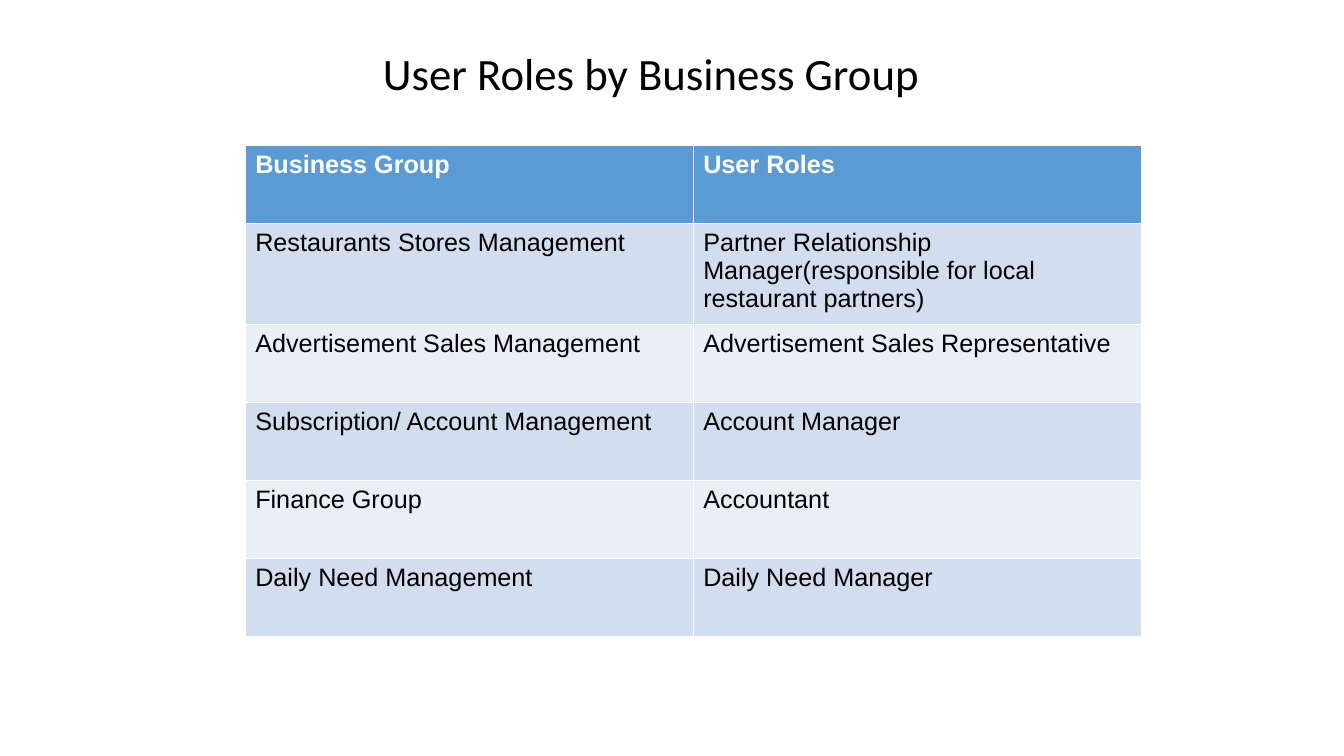
"""Build a slide that lists the user roles of each business group in a table."""
import pptx
import pptx.dml.color
import pptx.enum.text
import pptx.util

Cm, Pt = pptx.util.Cm, pptx.util.Pt
RGBColor = pptx.dml.color.RGBColor

TITLE = "User Roles by Business Group"
ROLES = [
    ("Business Group", "User Roles"),
    ("Restaurants Stores Management",
     "Partner Relationship Manager(responsible for local restaurant partners)"),
    ("Advertisement Sales Management", "Advertisement Sales Representative"),
    ("Subscription/ Account Management", "Account Manager"),
    ("Finance Group", "Accountant"),
    ("Daily Need Management", "Daily Need Manager"),
]

BLACK = RGBColor(0x00, 0x00, 0x00)
WHITE = RGBColor(0xFF, 0xFF, 0xFF)
HEADER_BLUE = RGBColor(0x5B, 0x9B, 0xD5)
BANDS = [RGBColor(0xEA, 0xEF, 0xF7), RGBColor(0xD2, 0xDE, 0xEF)]

COLUMN_WIDTH, ROW_HEIGHT = Cm(11.29), Cm(1.97)


def write(text_frame, text, font_name, size, color, bold=False):
    """Put one paragraph of uniform text into a frame."""
    text_frame.text = text
    font = text_frame.paragraphs[0].font
    font.name, font.size, font.bold = font_name, Pt(size), bold
    font.color.rgb = color


deck = pptx.Presentation()
deck.slide_width, deck.slide_height = Cm(33.87), Cm(19.05)
slide = deck.slides.add_slide(deck.slide_layouts[6])

title = slide.shapes.add_textbox(Cm(9.4), Cm(1.04), Cm(14.15), Cm(1.63)).text_frame
title.word_wrap = False
title.auto_size = pptx.enum.text.MSO_AUTO_SIZE.SHAPE_TO_FIT_TEXT
write(title, TITLE, "Calibri", 32, BLACK)

roles_table = slide.shapes.add_table(
    len(ROLES), len(ROLES[0]), Cm(6.18), Cm(3.66),
    COLUMN_WIDTH * len(ROLES[0]), ROW_HEIGHT * len(ROLES)).table
for row, entries in enumerate(ROLES):
    is_header = row == 0
    for column, entry in enumerate(entries):
        cell = roles_table.cell(row, column)
        cell.fill.solid()
        cell.fill.fore_color.rgb = HEADER_BLUE if is_header else BANDS[row % 2]
        write(cell.text_frame, entry, "Arial", 18,
              WHITE if is_header else BLACK, is_header)

deck.save("out.pptx")
